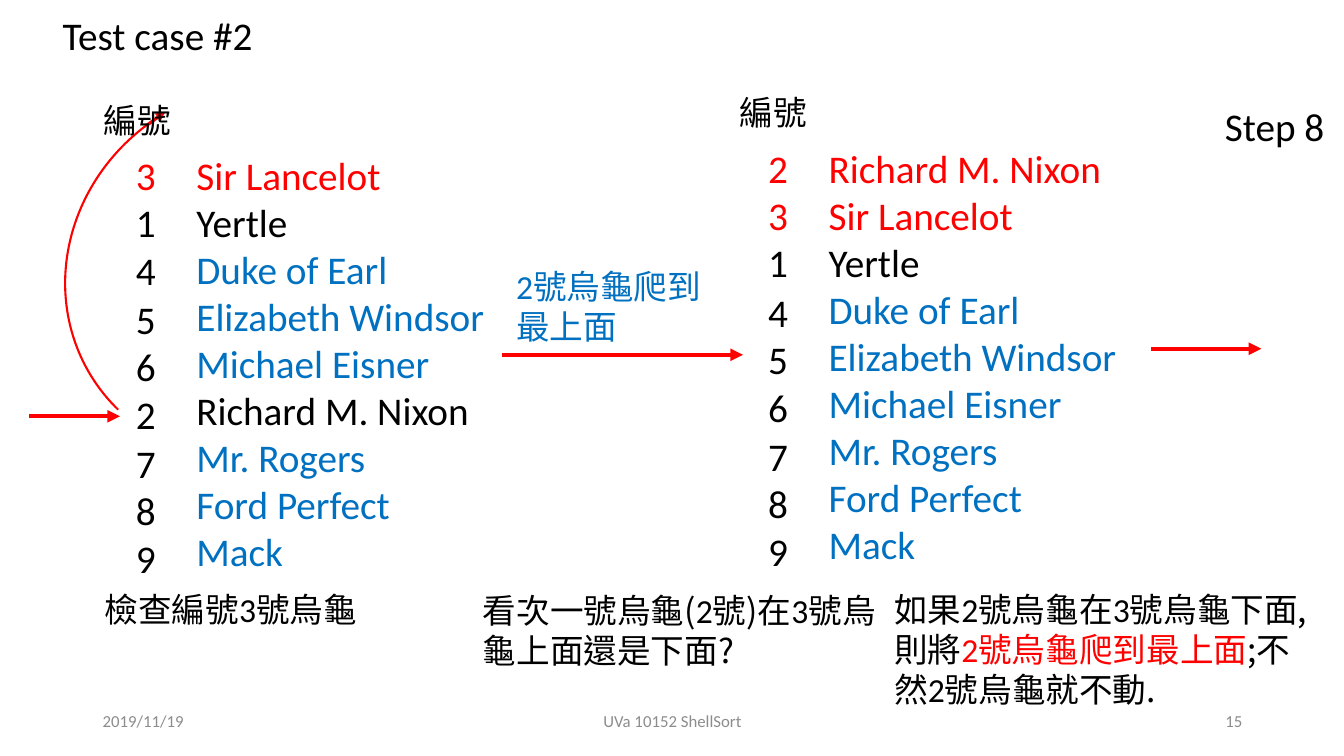
from itertools import groupby

from lxml.etree import SubElement as Sub
from pptx import Presentation
from pptx.dml.color import RGBColor as Rgb
from pptx.enum.shapes import MSO_CONNECTOR as Conn, MSO_SHAPE as Shape
from pptx.enum.text import MSO_ANCHOR as Anchor, PP_ALIGN as Align
from pptx.oxml.ns import qn
from pptx.util import Emu, Pt

PX = 9144  # 100 px to the inch
INK = {"black": "000000", "red": "FF0000", "blue": "0070C0", "gray": "8C8C8C"}
LATIN, HAN = "Calibri", "Noto Sans CJK SC"
TURTLES = {
    1: "Yertle", 2: "Richard M. Nixon", 3: "Sir Lancelot",
    4: "Duke of Earl", 5: "Elizabeth Windsor", 6: "Michael Eisner",
    7: "Mr. Rogers", 8: "Ford Perfect", 9: "Mack",
}


def px(*vals):
    return [Emu(v * PX) for v in vals]


def ink(name):
    return Rgb.from_string(INK[name])


def add_run(para, text, size, color):
    run = para.add_run()
    run.text = text
    font = run.font
    font.size = Pt(size)
    font.color.rgb = ink(color)
    font.name = LATIN if text.isascii() else HAN
    if not text.isascii():
        props = run._r.get_or_add_rPr()
        props.set("lang", "zh-TW")
        Sub(props, qn("a:ea"), typeface=HAN)


def add_mixed(para, text, size, color):
    """Set digits in the Latin font within Chinese text."""
    if text.isascii():
        add_run(para, text, size, color)
        return
    for _, part in groupby(text, str.isdigit):
        add_run(para, "".join(part), size, color)


def fill(frame, lines, size, align=Align.LEFT, anchor=Anchor.TOP):
    """Write lines, each a list of (text, color) spans."""
    frame.word_wrap = True
    frame.vertical_anchor = anchor
    for i, spans in enumerate(lines):
        para = frame.add_paragraph() if i else frame.paragraphs[0]
        para.alignment = align
        for text, color in spans:
            add_mixed(para, text, size, color)


def add_text(slide, box, lines, size=24, **style):
    shape = slide.shapes.add_textbox(*px(*box))
    fill(shape.text_frame, lines, size, **style)


def add_title(slide, box, text):
    title = slide.shapes.title
    title.left, title.top, title.width, title.height = px(*box)
    fill(title.text_frame, [[(text, "black")]], 28)


def add_arrow(slide, x1, y1, x2, y2, width=3):
    arrow = slide.shapes.add_connector(Conn.STRAIGHT, *px(x1, y1, x2, y2))
    arrow.line.color.rgb = ink("red")
    arrow.line.width = Pt(width)
    Sub(arrow.line._get_or_add_ln(), qn("a:tailEnd"), type="triangle")
    Sub(arrow._element.spPr, qn("a:effectLst"))


def add_arc(slide, box, turn, start, end):
    arc = slide.shapes.add_shape(Shape.ARC, *px(*box))
    arc.adjustments[0], arc.adjustments[1] = start, end
    arc.rotation = turn
    arc.shadow.inherit = False
    arc.fill.background()
    arc.line.color.rgb = ink("red")
    arc.line.width = Pt(1.5)


def add_stack(slide, left, top, order, moved):
    """Show the turtles in order, those already moved in red."""
    def shade(num):
        return "red" if num in moved else "blue" if num > 3 else "black"

    names = [[(TURTLES[num], shade(num))] for num in order]
    add_text(slide, (left + 60, top, 344, 434), names, 28)
    for i, num in enumerate(order):
        y = top + 47 * i + 2 * (i // 3)
        color = "red" if num in moved else "black"
        add_text(slide, (left, y, 39, 57), [[(str(num), color)]], 28)


def add_footer(slide):
    for left, width, text, align in (
        (92, 300, "2019/11/19", Align.LEFT),
        (442, 450, "UVa 10152 ShellSort", Align.CENTER),
        (942, 300, "15", Align.RIGHT),
    ):
        add_text(slide, (left, 695, width, 40), [[(text, "gray")]], 12,
                 align=align, anchor=Anchor.MIDDLE)


def main():
    deck = Presentation()
    deck.slide_width, deck.slide_height = px(1333, 750)
    slide = deck.slides.add_slide(deck.slide_layouts[5])

    add_title(slide, (52, 6, 210, 57), "Test case #2")
    add_footer(slide)

    add_text(slide, (7, 579, 444, 50), [[("檢查編號3號烏龜", "black")]],
             align=Align.CENTER)
    add_text(slide, (469, 580, 419, 91),
             [[("看次一號烏龜(2號)在3號烏龜上面還是下面?", "black")]])
    add_text(slide, (877, 579, 428, 131), [[
        ("如果2號烏龜在3號烏龜下面,則將", "black"),
        ("2號烏龜爬到最上面", "red"),
        (";不然2號烏龜就不動.", "black"),
    ]])
    add_text(slide, (502, 259, 230, 91), [[("2號烏龜爬到最上面", "blue")]])

    add_stack(slide, 752, 138, (2, 3, 1, 4, 5, 6, 7, 8, 9), {2, 3})
    add_stack(slide, 125, 145, (3, 1, 4, 5, 6, 2, 7, 8, 9), {3})

    add_arrow(slide, 29, 413, 119, 413)
    add_arrow(slide, 498, 352, 737, 352)
    add_arrow(slide, 1142, 346, 1251, 346)
    add_arc(slide, (73, 75, 366, 390), 236.2, 155.57, 214.16)
    add_arrow(slide, 146, 124, 164, 111, 2.25)

    for left, top in ((724, 86), (93, 94)):
        add_text(slide, (left, top, 96, 50), [[("編號", "black")]])
    add_text(slide, (1205, 97, 149, 57), [[("Step 8", "black")]], 28)

    deck.save("out.pptx")


if __name__ == "__main__":
    main()
